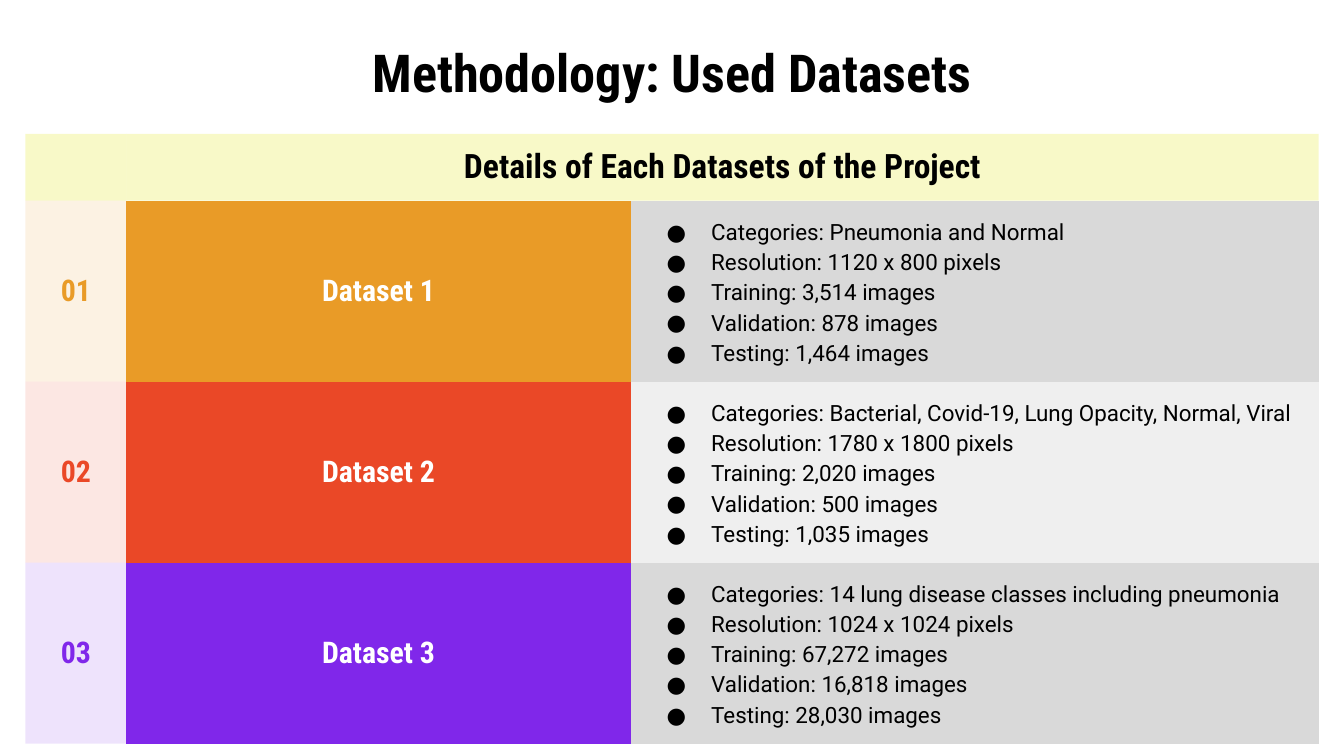
from lxml import etree
from pptx import Presentation
from pptx.dml.color import RGBColor
from pptx.enum.text import MSO_ANCHOR, PP_ALIGN
from pptx.oxml.ns import qn
from pptx.util import Cm, Pt

CENTER = PP_ALIGN.CENTER
LEFT = PP_ALIGN.LEFT
MIDDLE = MSO_ANCHOR.MIDDLE

HEADING_FONT = "Roboto Condensed"
BODY_FONT = "Roboto"
NO_STYLE_NO_GRID = "{2D5ABB26-0587-4C30-8999-92F81FD0307C}"
MARGIN = Cm(0.25)
COLUMN_WIDTHS = (1.91, 9.53, 13)
HEADER_HEIGHT = 1.25
DATASET_HEIGHT = 3.36

COLORS = {
    "text": "000000",
    "white": "FFFFFF",
    "header": "E4EA27",
    "orange": "E99B27",
    "red": "EA4827",
    "purple": "8027EA",
    "gray": "D9D9D9",
    "light_gray": "EFEFEF",
}

DETAIL_LABELS = ("Categories", "Resolution", "Training", "Validation", "Testing")
DATASETS = (
    ("orange", "gray", ("Pneumonia and Normal", "1120 x 800 pixels",
                        "3,514 images", "878 images", "1,464 images")),
    ("red", "light_gray", ("Bacterial, Covid-19, Lung Opacity, Normal, Viral",
                           "1780 x 1800 pixels", "2,020 images",
                           "500 images", "1,035 images")),
    ("purple", "gray", ("14 lung disease classes including pneumonia",
                        "1024 x 1024 pixels", "67,272 images",
                        "16,818 images", "28,030 images")),
)


def style_paragraph(paragraph, size, color="text", font=HEADING_FONT,
                    bold=True, alignment=CENTER):
    paragraph.alignment = alignment
    paragraph.font.name = font
    paragraph.font.size = Pt(size)
    paragraph.font.bold = bold
    paragraph.font.color.rgb = RGBColor.from_string(COLORS[color])


def set_margins(target):
    target.margin_left = target.margin_right = MARGIN
    target.margin_top = target.margin_bottom = MARGIN
    target.vertical_anchor = MIDDLE


def fill_cell(cell, color, opacity=100):
    cell.fill.solid()
    cell.fill.fore_color.rgb = RGBColor.from_string(COLORS[color])
    if opacity < 100:
        color_element = cell._tc.tcPr.find(".//" + qn("a:srgbClr"))
        alpha = etree.SubElement(color_element, qn("a:alpha"))
        alpha.set("val", str(opacity * 1000))


def write_heading(cell, text, size, color="text"):
    set_margins(cell)
    paragraph = cell.text_frame.paragraphs[0]
    paragraph.text = text
    style_paragraph(paragraph, size, color)


def add_bullet(paragraph):
    properties = paragraph._p.get_or_add_pPr()
    properties.set("marL", str(Cm(1.27)))
    properties.set("indent", str(Cm(-0.84)))
    bullet_color = etree.SubElement(properties, qn("a:buClr"))
    etree.SubElement(bullet_color, qn("a:srgbClr")).set("val", COLORS["text"])
    etree.SubElement(properties, qn("a:buFont")).set("typeface", BODY_FONT)
    etree.SubElement(properties, qn("a:buChar")).set("char", "●")


def write_details(cell, values):
    set_margins(cell)
    lines = [f"{label}: {value}" for label, value in zip(DETAIL_LABELS, values)]
    cell.text_frame.text = "\n".join(lines)
    for paragraph in cell.text_frame.paragraphs:
        paragraph.line_spacing = 1.15
        add_bullet(paragraph)
        style_paragraph(paragraph, 12, font=BODY_FONT, bold=False, alignment=LEFT)


def add_title(slide, text):
    box = slide.shapes.add_textbox(Cm(1.27), Cm(0.84), Cm(22.86), Cm(1.04))
    frame = box.text_frame
    frame.word_wrap = True
    set_margins(frame)
    frame.text = text
    style_paragraph(frame.paragraphs[0], 28)


def add_dataset_table(slide):
    heights = [HEADER_HEIGHT] + [DATASET_HEIGHT] * len(DATASETS)
    shape = slide.shapes.add_table(
        len(heights), len(COLUMN_WIDTHS), Cm(0.48), Cm(2.53),
        Cm(sum(COLUMN_WIDTHS)), Cm(sum(heights)))
    table = shape.table
    table.first_row = False
    table.horz_banding = False
    table._tbl.tblPr.find(qn("a:tableStyleId")).text = NO_STYLE_NO_GRID
    for column, width in zip(table.columns, COLUMN_WIDTHS):
        column.width = Cm(width)
    for row, height in zip(table.rows, heights):
        row.height = Cm(height)

    for column in range(len(COLUMN_WIDTHS)):
        fill_cell(table.cell(0, column), "header", 25)
    header = table.cell(0, 1)
    header.merge(table.cell(0, 2))
    write_heading(header, "Details of Each Datasets of the Project", 18)

    for row, (color, background, values) in enumerate(DATASETS, start=1):
        number, name, details = (table.cell(row, column) for column in range(3))
        fill_cell(number, color, 13)
        write_heading(number, f"{row:02d}", 16, color)
        fill_cell(name, color)
        write_heading(name, f"Dataset {row}", 16, "white")
        fill_cell(details, background)
        write_details(details, values)


def main():
    presentation = Presentation()
    presentation.slide_width = Cm(25.4)
    presentation.slide_height = Cm(14.29)
    slide = presentation.slides.add_slide(presentation.slide_layouts[6])
    add_title(slide, "Methodology: Used Datasets")
    add_dataset_table(slide)
    presentation.save("out.pptx")


if __name__ == "__main__":
    main()
